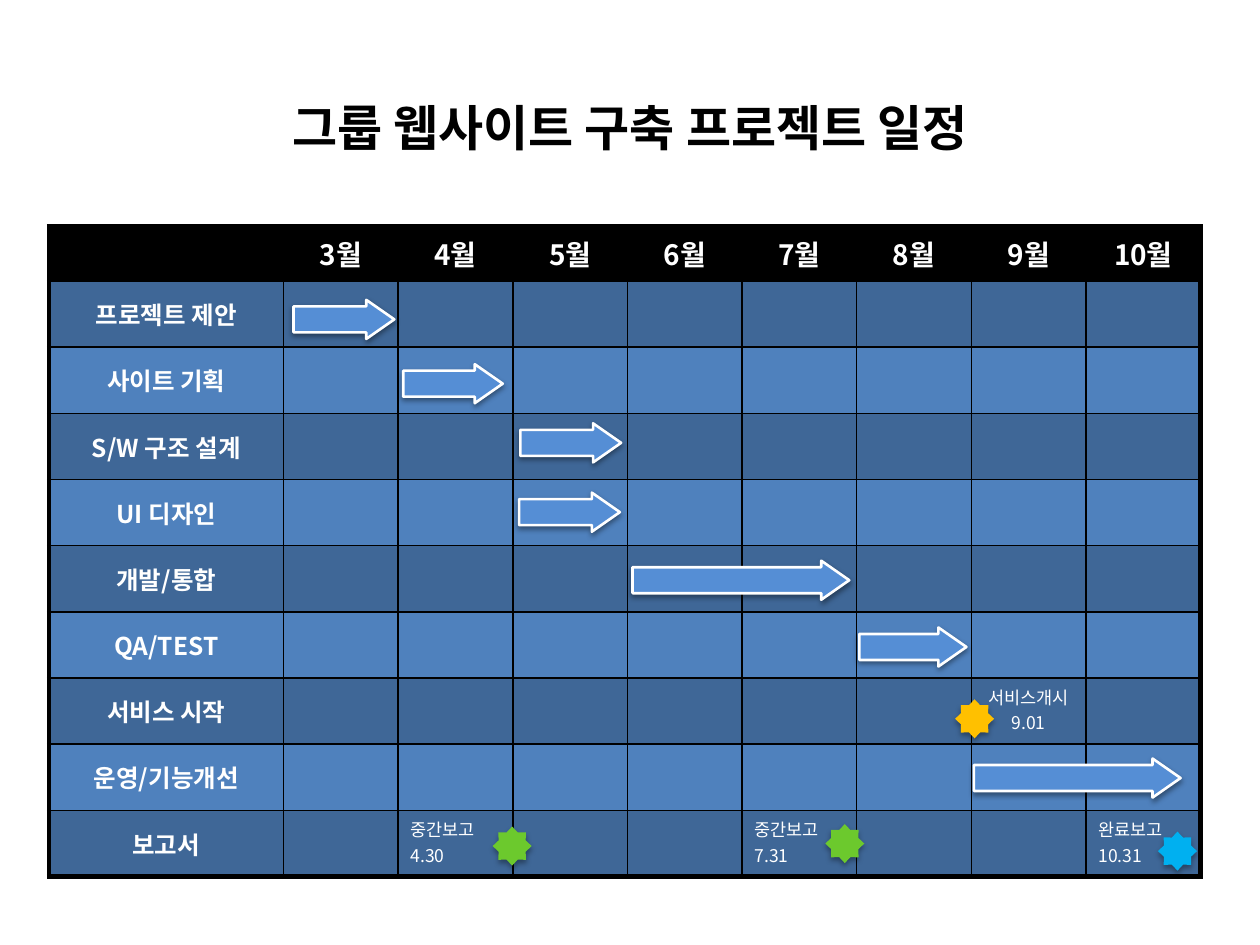
from lxml import etree
from pptx import Presentation
from pptx.dml.color import RGBColor
from pptx.enum.shapes import MSO_SHAPE
from pptx.enum.text import MSO_ANCHOR, PP_ALIGN
from pptx.oxml.ns import qn
from pptx.util import Inches, Pt

ARROW = MSO_SHAPE.RIGHT_ARROW
STAR = MSO_SHAPE.STAR_8_POINT
MIDDLE = MSO_ANCHOR.MIDDLE
TOP = MSO_ANCHOR.TOP
CENTER = PP_ALIGN.CENTER
LEFT = PP_ALIGN.LEFT

FONT = "Noto Sans CJK KR"
BLACK, WHITE = "000000", "FFFFFF"
BANDS = ("3F6797", "4F81BD")
BLUE, GOLD, GREEN, SKY = "558ED5", "FFC000", "6CC92D", "00B0F0"

TASKS = ["프로젝트 제안", "사이트 기획", "S/W 구조 설계", "UI 디자인", "개발/통합",
         "QA/TEST", "서비스 시작", "운영/기능개선", "보고서"]
MONTHS = [f"{month}월" for month in range(3, 11)]
NOTES = [
    (7, 7, "서비스개시\n9.01", CENTER),
    (9, 2, "중간보고 4.30", LEFT),
    (9, 5, "중간보고 7.31", LEFT),
    (9, 8, "완료보고 10.31", LEFT),
]
LABEL, HEAD = 1.86, 0.43
BARS = [
    (1.94, 0.58, 0.8),
    (2.81, 1.09, 0.79),
    (3.74, 1.56, 0.8),
    (3.73, 2.11, 0.8),
    (4.63, 2.65, 1.72),
    (6.43, 3.18, 0.85),
    (7.34, 4.22, 1.64),
]
STARS = [
    (7.19, 3.75, GOLD),
    (6.16, 4.74, GREEN),
    (3.52, 4.76, GREEN),
    (8.8, 4.8, SKY),
]
SIZE = 0.31


def tint(code):
    return RGBColor.from_string(code)


def write(frame, text, size=14, color=WHITE, bold=True, align=CENTER, font=FONT):
    for i, line in enumerate(text.split("\n")):
        para = frame.paragraphs[0] if i == 0 else frame.add_paragraph()
        para.alignment = align
        run = para.add_run()
        run.text = line
        run.font.size = Pt(size)
        run.font.bold = bold
        run.font.name = font
        run.font.color.rgb = tint(color)
        east = etree.SubElement(run.font._element, qn("a:ea"))
        east.set("typeface", FONT)


def edge(cell, side, width):
    line = etree.SubElement(cell._tc.get_or_add_tcPr(), qn(f"a:ln{side}"), w=str(Pt(width)))
    fill = etree.SubElement(line, qn("a:solidFill"))
    etree.SubElement(fill, qn("a:srgbClr"), val=BLACK)


def shade(shape, alpha, dist):
    shape.shadow.inherit = False
    effect = shape._element.spPr.find(qn("a:effectLst"))
    cast = etree.SubElement(effect, qn("a:outerShdw"), blurRad=str(Pt(3.1)),
                            dist=str(Pt(dist)), dir="5400000", rotWithShape="0")
    color = etree.SubElement(cast, qn("a:srgbClr"), val=BLACK)
    etree.SubElement(color, qn("a:alpha"), val=str(alpha * 1000))


def title(slide, x, y, w, h):
    box = slide.shapes.add_textbox(Inches(x), Inches(y), Inches(w), Inches(h))
    frame = box.text_frame
    frame.word_wrap = True
    frame.vertical_anchor = MIDDLE
    write(frame, "그룹 웹사이트 구축 프로젝트 일정", size=28, color=BLACK, font="Karla")


def grid(slide, x, y, w, h):
    rows, cols = len(TASKS) + 1, len(MONTHS) + 1
    table = slide.shapes.add_table(rows, cols, Inches(x), Inches(y), Inches(w), Inches(h)).table
    table.first_row = False
    table.horz_banding = False
    for c, col in enumerate(table.columns):
        col.width = Inches((w - LABEL) / len(MONTHS) if c else LABEL)
    for r, row in enumerate(table.rows):
        row.height = Inches((h - HEAD) / len(TASKS) if r else HEAD)
        for c, cell in enumerate(row.cells):
            outer = {"L": c == 0, "R": c == cols - 1, "T": r == 0, "B": r == rows - 1}
            for side, thick in outer.items():
                edge(cell, side, 3 if thick else 1)
            cell.fill.solid()
            cell.fill.fore_color.rgb = tint(BANDS[(r - 1) % 2] if r else BLACK)
            cell.vertical_anchor = MIDDLE if r and not c else TOP
    for c, month in enumerate(MONTHS, 1):
        write(table.cell(0, c).text_frame, month, size=16)
    for r, task in enumerate(TASKS, 1):
        write(table.cell(r, 0).text_frame, task)
    for r, c, note, align in NOTES:
        write(table.cell(r, c).text_frame, note, size=10, bold=False, align=align)


def mark(slide, kind, x, y, w, color):
    shape = slide.shapes.add_shape(kind, Inches(x), Inches(y), Inches(w), Inches(SIZE))
    shape.fill.solid()
    shape.fill.fore_color.rgb = tint(color)
    return shape


def plan(slide, x, y):
    for dx, dy, w in BARS:
        bar = mark(slide, ARROW, x + dx, y + dy, w, BLUE)
        bar.adjustments[0] = 0.667
        bar.adjustments[1] = 0.717
        bar.line.color.rgb = tint(WHITE)
        bar.line.width = Pt(1.5)
        shade(bar, 38, 1.6)
    for dx, dy, color in STARS:
        star = mark(slide, STAR, x + dx, y + dy, SIZE, color)
        star.line.fill.background()
        shade(star, 35, 1.8)


def main():
    deck = Presentation()
    deck.slide_width = Inches(10)
    deck.slide_height = Inches(7.5)
    slide = deck.slides.add_slide(deck.slide_layouts[6])
    title(slide, 0.5, 0.53, 9, 0.95)
    grid(slide, 0.39, 1.8, 9.14, 5.16)
    plan(slide, 0.39, 1.8)
    deck.save("out.pptx")


if __name__ == "__main__":
    main()
